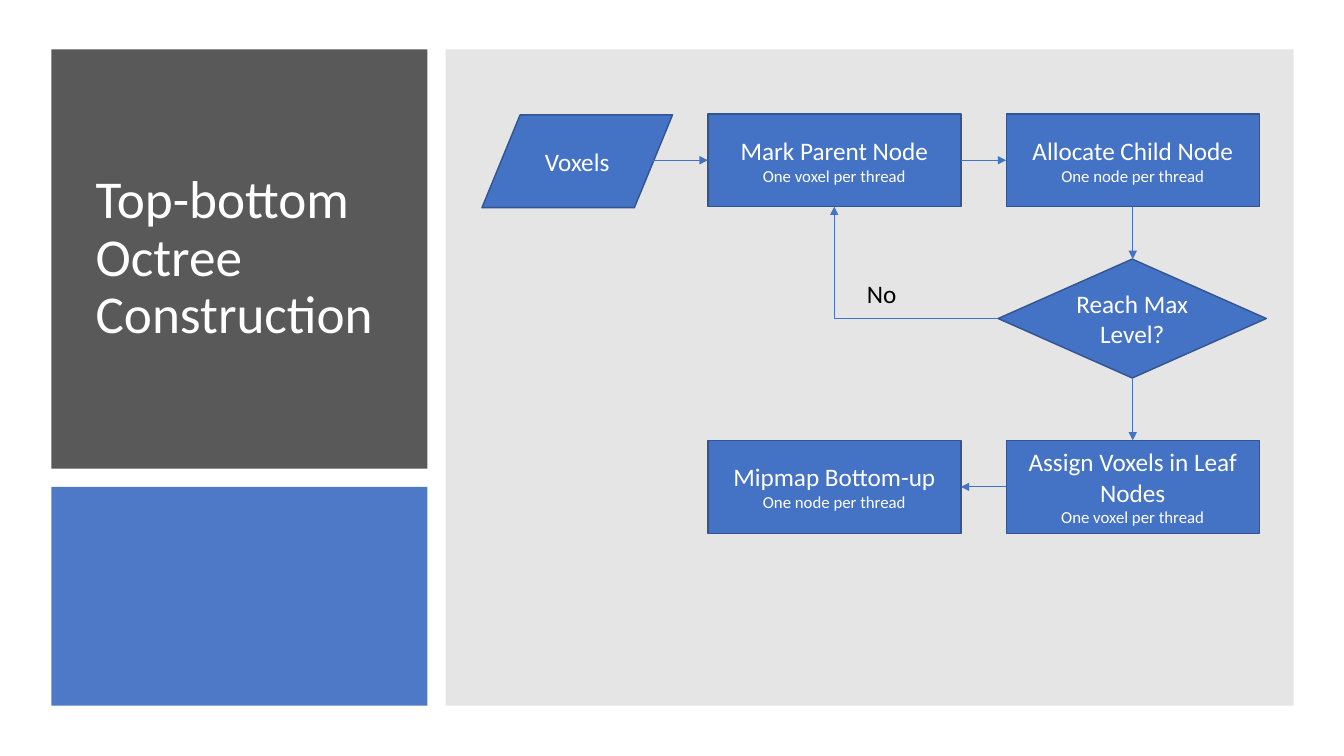
from lxml import etree
from pptx import Presentation
from pptx.dml.color import RGBColor
from pptx.enum.shapes import MSO_CONNECTOR, MSO_SHAPE
from pptx.enum.text import MSO_ANCHOR, PP_ALIGN
from pptx.oxml.ns import qn
from pptx.util import Inches, Pt

RECT = MSO_SHAPE.RECTANGLE
PROCESS = MSO_SHAPE.FLOWCHART_PROCESS
DATA = MSO_SHAPE.FLOWCHART_DATA
DECISION = MSO_SHAPE.FLOWCHART_DECISION
STRAIGHT = MSO_CONNECTOR.STRAIGHT
ELBOW = MSO_CONNECTOR.ELBOW
MIDDLE = MSO_ANCHOR.MIDDLE
CENTER = PP_ALIGN.CENTER

BLUE = "4472C4"
WHITE = "FFFFFF"


def rgb(value):
    return RGBColor.from_string(value)


def write(tf, lines, color):
    tf.word_wrap = True
    tf.text = "\n".join(text for text, size in lines)
    for p, (text, size) in zip(tf.paragraphs, lines):
        font = p.runs[0].font
        font.name = "Calibri"
        font.size = Pt(size)
        font.color.rgb = rgb(color)


prs = Presentation()
prs.slide_width = Inches(13.33)
prs.slide_height = Inches(7.5)
s = prs.slides.add_slide(prs.slide_layouts[6])

panels = [
    (0.51, 0.49, 3.73, 4.16, "595959", 100),
    (0.51, 4.83, 3.73, 2.17, BLUE, 95),
    (4.42, 0.49, 8.41, 6.51, "808080", 20),
]
for x, y, w, h, color, opacity in panels:
    sp = s.shapes.add_shape(RECT, Inches(x), Inches(y), Inches(w), Inches(h))
    sp.shadow.inherit = False
    sp.fill.solid()
    sp.fill.fore_color.rgb = rgb(color)
    sp.line.fill.background()
    if opacity < 100:
        clr = sp._element.spPr.find(qn("a:solidFill")).find(qn("a:srgbClr"))
        etree.SubElement(clr, qn("a:alpha")).set("val", str(opacity * 1000))

title = s.shapes.add_textbox(Inches(0.85), Inches(0.8), Inches(3.11), Inches(3.54))
write(title.text_frame, [("Top-bottom Octree Construction", 38)], WHITE)
title.text_frame.vertical_anchor = MIDDLE
title.text_frame.paragraphs[0].line_spacing = 0.9

box_w, box_h = 2.51, 0.92
left, right = 7.02, 9.98
top, bottom = 1.13, 4.37
steps = [
    (DATA, 4.78, 1.14, 1.89, box_h, [("Voxels", 18)]),
    (PROCESS, left, top, box_w, box_h,
     [("Mark Parent Node", 18), ("One voxel per thread", 12)]),
    (PROCESS, right, top, box_w, box_h,
     [("Allocate Child Node", 18), ("One node per thread", 12)]),
    (DECISION, 9.9, 2.57, 2.66, 1.18, [("Reach Max Level?", 18)]),
    (PROCESS, right, bottom, box_w, box_h,
     [("Assign Voxels in Leaf Nodes", 18), ("One voxel per thread", 12)]),
    (PROCESS, left, bottom, box_w, box_h,
     [("Mipmap Bottom-up", 18), ("One node per thread", 12)]),
]
for kind, x, y, w, h, lines in steps:
    sp = s.shapes.add_shape(kind, Inches(x), Inches(y), Inches(w), Inches(h))
    sp.shadow.inherit = False
    sp.fill.solid()
    sp.fill.fore_color.rgb = rgb(BLUE)
    sp.line.color.rgb = rgb("325491")
    sp.line.width = Pt(1)
    tf = sp.text_frame
    write(tf, lines, WHITE)
    tf.vertical_anchor = MIDDLE
    for p in tf.paragraphs:
        p.alignment = CENTER

left_mid, right_mid = left + box_w / 2, right + box_w / 2
top_mid, bottom_mid = top + box_h / 2, bottom + box_h / 2
arrows = [
    (STRAIGHT, 6.48, top_mid, left, top_mid),
    (STRAIGHT, left + box_w, top_mid, right, top_mid),
    (STRAIGHT, right_mid, top + box_h, right_mid, 2.57),
    (ELBOW, 9.9, 3.16, left_mid, top + box_h),
    (STRAIGHT, right_mid, 3.75, right_mid, bottom),
    (STRAIGHT, right, bottom_mid, left + box_w, bottom_mid),
]
for kind, x1, y1, x2, y2 in arrows:
    cxn = s.shapes.add_connector(kind, Inches(x1), Inches(y1), Inches(x2), Inches(y2))
    cxn.line.color.rgb = rgb(BLUE)
    cxn.line.width = Pt(0.5)
    spPr = cxn._element.spPr
    if kind == ELBOW:
        spPr.find(qn("a:prstGeom")).set("prst", "bentConnector2")
    etree.SubElement(spPr.find(qn("a:ln")), qn("a:tailEnd")).set("type", "triangle")
    etree.SubElement(spPr, qn("a:effectLst"))

label = s.shapes.add_textbox(Inches(8.5), Inches(2.71), Inches(0.6), Inches(0.4))
write(label.text_frame, [("No", 18)], "000000")

prs.save("out.pptx")
